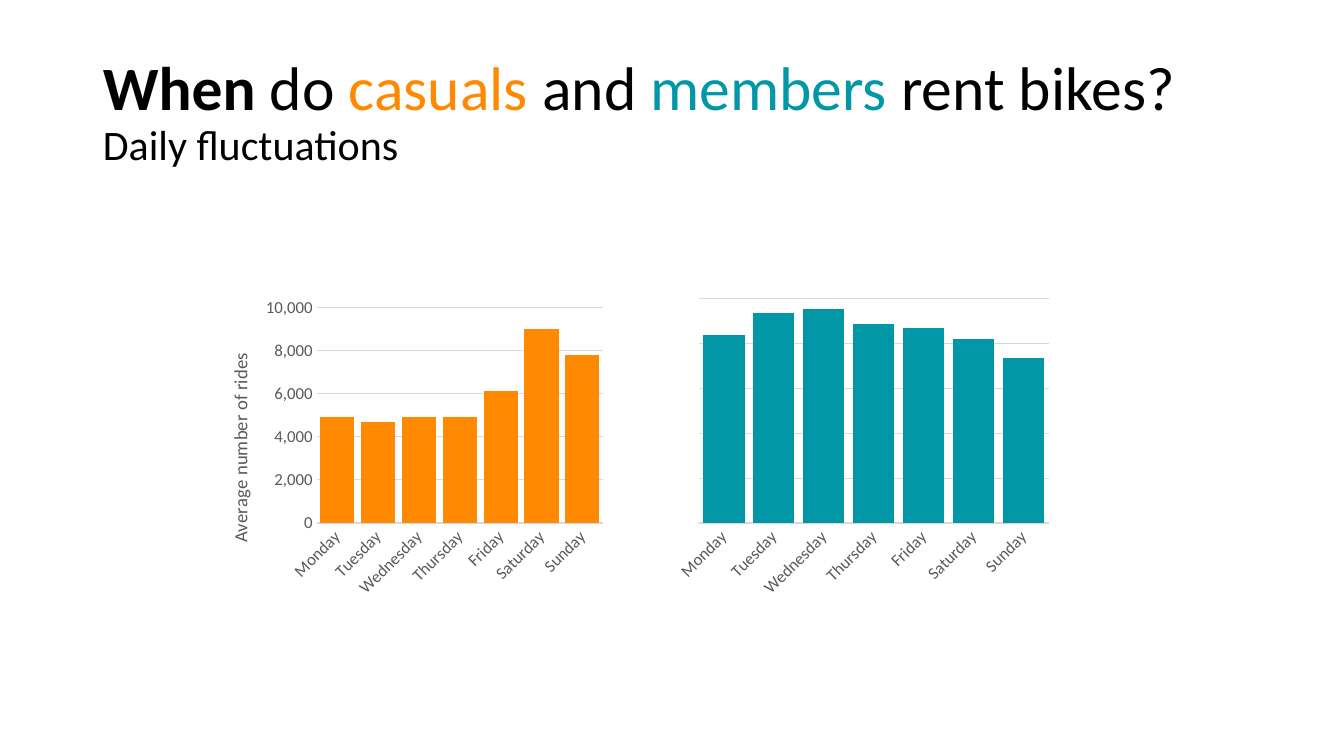
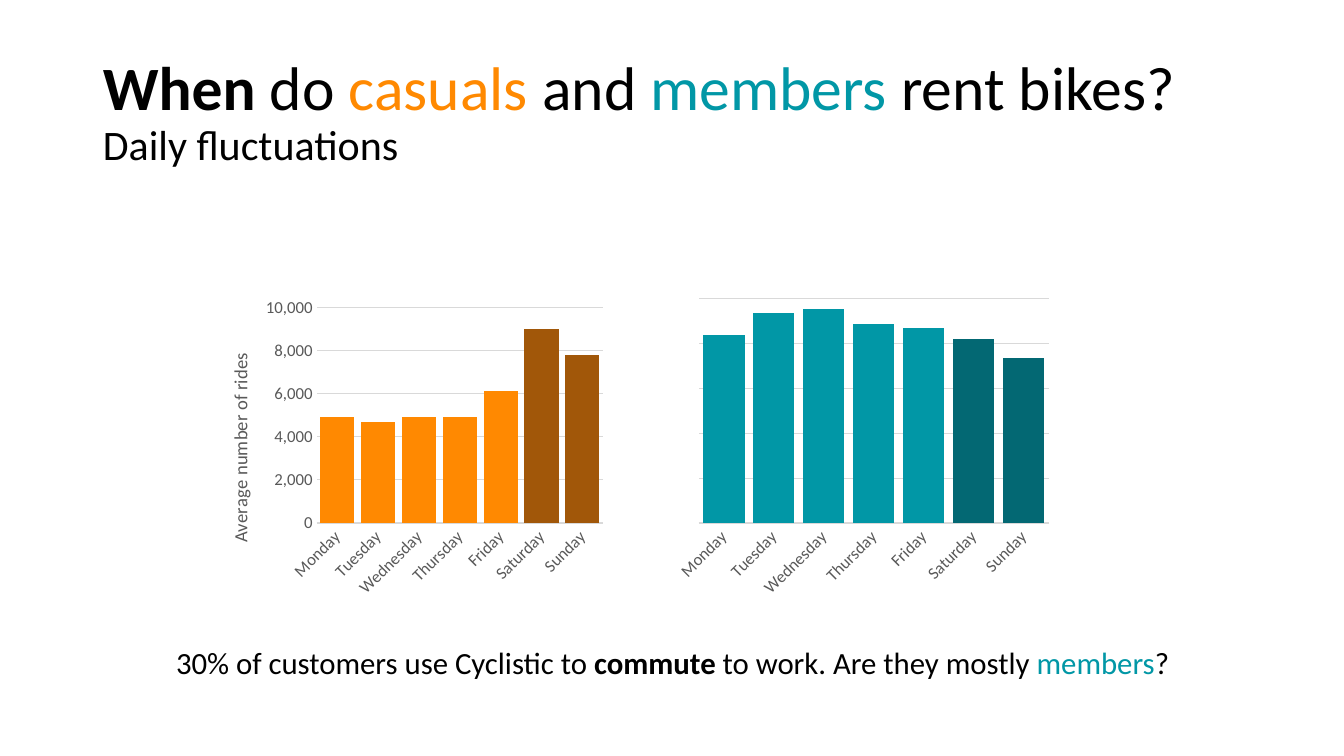
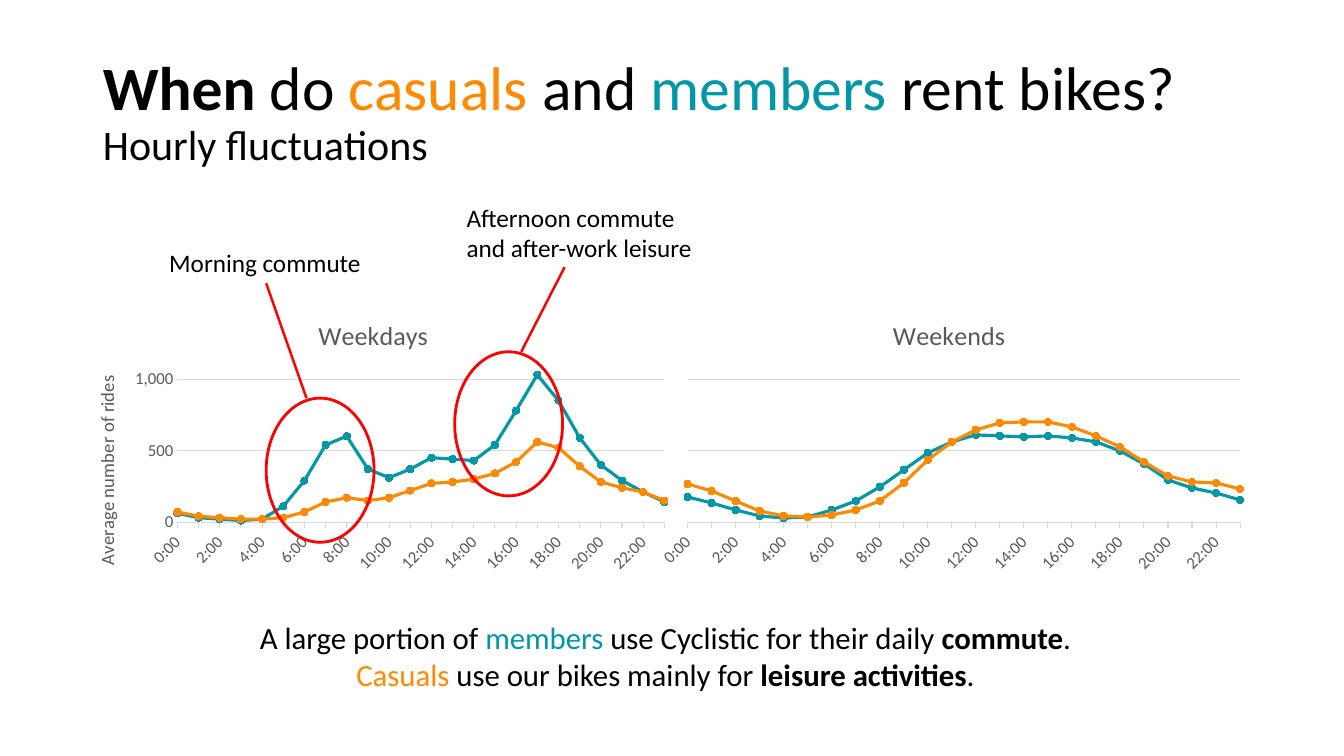
"""Build three slides on when casual riders and members rent bikes."""
from lxml import etree
from pptx import Presentation
from pptx.chart.data import CategoryChartData
from pptx.dml.color import RGBColor
from pptx.enum.chart import XL_CHART_TYPE, XL_MARKER_STYLE, XL_TICK_MARK
from pptx.enum.shapes import MSO_CONNECTOR, MSO_SHAPE
from pptx.enum.text import MSO_ANCHOR, MSO_AUTO_SIZE, PP_ALIGN
from pptx.oxml import parse_xml
from pptx.oxml.ns import nsdecls, qn
from pptx.util import Inches, Pt

FONT = "Calibri"
COLORS = {
    "text": "000000",
    "casual": "FF8901",
    "casual_dark": "A15709",
    "member": "0197A6",
    "member_dark": "036873",
    "axis": "595959",
    "grid": "D9D9D9",
    "mark": "FF0000",
}
RGB = {name: RGBColor.from_string(value) for name, value in COLORS.items()}

DAYS = ["Monday", "Tuesday", "Wednesday", "Thursday", "Friday", "Saturday", "Sunday"]
HOURS = [f"{hour}:00" for hour in range(24)]
AXIS_TITLE = "Average number of rides"


def add_runs(p, size, runs):
    p.font.name = FONT
    p.font.size = Pt(size)
    for text, color, bold in runs:
        r = p.add_run()
        r.text = text
        r.font.bold = bold
        r.font.color.rgb = RGB[color]


def add_graph(s, kind, box, cats, series, scale, plot_box, axis_title_at, title=None, title_at=None):
    data = CategoryChartData()
    data.categories = cats
    for number, (color, values) in enumerate(series, 1):
        data.add_series(f"Series {number}", values)
    chart = s.shapes.add_chart(kind, *[Inches(v) for v in box], data).chart
    chart.has_legend = False
    chart.font.name = FONT
    chart.font.size = Pt(12)
    chart.font.color.rgb = RGB["axis"]
    chart.has_title = title is not None
    plot = chart.plots[0]
    plot.vary_by_categories = False
    layouts = [(plot._element.getparent(), plot_box)]
    titles = []
    if title:
        titles.append((chart.chart_title, title, 18.6, title_at))

    cat_axis, val_axis = chart.category_axis, chart.value_axis
    cat_axis.format.line.color.rgb = RGB["grid"]
    cat_axis.format.line.width = Pt(0.75)
    cat_axis.tick_labels.font.size = Pt(12)
    cat_axis._element.txPr.find(qn("a:bodyPr")).set("rot", "-2700000")
    cat_axis.major_tick_mark = XL_TICK_MARK.NONE
    val_axis.major_tick_mark = XL_TICK_MARK.NONE
    val_axis.minimum_scale = 0
    val_axis.maximum_scale, val_axis.major_unit = scale
    grid = val_axis.major_gridlines.format.line
    grid.color.rgb = RGB["grid"]
    grid.width = Pt(0.75)
    val_axis.format.line.fill.background()
    val_axis.visible = axis_title_at is not None
    if axis_title_at:
        val_axis.tick_labels.number_format = "#,##0"
        val_axis.tick_labels.number_format_is_linked = False
        val_axis.has_title = True
        titles.append((val_axis.axis_title, AXIS_TITLE, 13.3, axis_title_at))

    for holder, text, size, place in titles:
        p = holder.text_frame.paragraphs[0]
        add_runs(p, size, [(text, "axis", False)])
        layouts.append((holder._element, place))

    left, top, width, height = box
    for element, place in layouts:
        for old in element.findall(qn("c:layout")):
            element.remove(old)
        layout = parse_xml(f"<c:layout {nsdecls('c')}><c:manualLayout/></c:layout>")
        inner = len(place) == 4
        entries = [("layoutTarget", "inner")] if inner else []
        entries += [("xMode", "edge"), ("yMode", "edge"),
                    ("x", (place[0] - left) / width), ("y", (place[1] - top) / height)]
        if inner:
            entries += [("w", place[2] / width), ("h", place[3] / height)]
        for tag, value in entries:
            etree.SubElement(layout[0], qn(f"c:{tag}")).set("val", str(value))
        element.insert(0 if inner else 1, layout)
    return chart


prs = Presentation()
prs.slide_width, prs.slide_height = Inches(13.33), Inches(7.5)

slides = []
for subtitle in ["Daily fluctuations", "Daily fluctuations", "Hourly fluctuations"]:
    s = prs.slides.add_slide(prs.slide_layouts[5])
    slides.append(s)
    sp = s.shapes.title
    sp.left, sp.top, sp.width, sp.height = [Inches(v) for v in (0.92, 0.4, 11.5, 1.45)]
    tf = sp.text_frame
    tf.auto_size = MSO_AUTO_SIZE.NONE
    tf.vertical_anchor = MSO_ANCHOR.MIDDLE
    p = tf.paragraphs[0]
    p.alignment = PP_ALIGN.LEFT
    p.line_spacing = 0.9
    add_runs(p, 44, [
        ("When", "text", True),
        (" do ", "text", False),
        ("casuals ", "casual", False),
        ("and ", "text", False),
        ("members ", "member", False),
        ("rent bikes?", "text", False),
    ])
    p.add_line_break()
    add_runs(p, 44, [(subtitle, "text", False)])
    p.runs[-1].font.size = Pt(30)

daily = [
    ("member", [88, 98, 100, 93, 91, 86, 77], (6.63, 2.88, 3.85, 3.12),
     (106, 21), (6.93, 2.94, 3.47, 2.25), None),
    ("casual", [4900, 4700, 4900, 4900, 6100, 9000, 7800], (2.04, 2.88, 4.03, 3.12),
     (10050, 2000), (3.14, 3.04, 2.84, 2.15), (2.22, 3.47)),
]
for s, suffix in zip(slides, ["", "_dark"]):
    for color, values, box, scale, plot_box, axis_title_at in daily:
        chart = add_graph(s, XL_CHART_TYPE.COLUMN_CLUSTERED, box, DAYS, [(color, values)],
                          scale, plot_box, axis_title_at)
        plot = chart.plots[0]
        plot.gap_width = 20
        plot.overlap = -27
        bars = plot.series[0]
        bars.format.fill.solid()
        bars.format.fill.fore_color.rgb = RGB[color]
        for weekend_day in (5, 6):
            fill = bars.points[weekend_day].format.fill
            fill.solid()
            fill.fore_color.rgb = RGB[color + suffix]

hourly = [
    ("Weekdays", (3.11, 3.1), 0.7, (1100, 500), (1.76, 3.62, 4.83, 1.56), (0.9, 3.69),
     [60, 30, 20, 10, 20, 110, 290, 540, 600, 370, 310, 370,
      450, 440, 430, 540, 780, 1030, 850, 590, 400, 290, 210, 140],
     [70, 40, 30, 20, 20, 30, 70, 140, 170, 150, 170, 220,
      270, 280, 300, 340, 420, 560, 520, 390, 280, 240, 210, 150]),
    ("Weekends", (8.81, 3.1), 6.42, (157, 71), (6.82, 3.62, 5.48, 1.56), None,
     [25, 19, 12, 6, 4, 5, 12, 21, 35, 52, 69, 80,
      87, 86, 85, 86, 84, 80, 71, 58, 42, 34, 29, 22],
     [38, 31, 21, 11, 6, 5, 7, 12, 21, 39, 62, 80,
      92, 99, 100, 100, 95, 86, 75, 60, 46, 40, 39, 33]),
]
s = slides[2]
for title, title_at, left, scale, plot_box, axis_title_at, members, casuals in hourly:
    series = [("member", members), ("casual", casuals)]
    chart = add_graph(s, XL_CHART_TYPE.LINE_MARKERS, (left, 2.98, 6, 2.77), HOURS, series,
                      scale, plot_box, axis_title_at, title, title_at)
    chart.category_axis.major_tick_mark = XL_TICK_MARK.OUTSIDE
    skip = parse_xml(f'<c:tickLblSkip {nsdecls("c")} val="2"/>')
    chart.category_axis._element.find(qn("c:noMultiLvlLbl")).addprevious(skip)
    val_element = chart.value_axis._element
    cross = val_element.find(qn("c:crossBetween"))
    if cross is None:
        cross = parse_xml(f'<c:crossBetween {nsdecls("c")}/>')
        val_element.find(qn("c:majorUnit")).addprevious(cross)
    cross.set("val", "midCat")
    for line, (color, values) in zip(chart.plots[0].series, series):
        line.smooth = False
        line.format.line.color.rgb = RGB[color]
        line.format.line.width = Pt(2.25)
        line.marker.style = XL_MARKER_STYLE.CIRCLE
        line.marker.size = 5
        line.marker.format.fill.solid()
        line.marker.format.fill.fore_color.rgb = RGB[color]
        line.marker.format.line.color.rgb = RGB[color]

for left, top in [(2.64, 3.95), (4.51, 3.49)]:
    sp = s.shapes.add_shape(MSO_SHAPE.OVAL, Inches(left), Inches(top), Inches(1.07), Inches(1.43))
    sp.shadow.inherit = False
    sp.fill.background()
    sp.line.color.rgb = RGB["mark"]
    sp.line.width = Pt(2)

for ends in [(3.04, 3.95, 2.64, 2.81), (5.17, 3.49, 5.6, 2.65)]:
    sp = s.shapes.add_connector(MSO_CONNECTOR.STRAIGHT, *[Inches(v) for v in ends])
    sp.line.color.rgb = RGB["mark"]
    sp.line.width = Pt(1.75)
    etree.SubElement(sp._element.spPr, qn("a:effectLst"))

notes = [
    (slides[1], (1.58, 6.34, 10.18, 0.47), 22, PP_ALIGN.CENTER, False, [[
        ("30% of customers use Cyclistic to ", "text", False),
        ("commute", "text", True),
        (" to work. Are they mostly ", "text", False),
        ("members", "member", False),
        ("?", "text", False),
    ]]),
    (s, (2.43, 6.09, 8.34, 0.84), 22, PP_ALIGN.CENTER, False, [[
        ("A large portion of ", "text", False),
        ("members", "member", False),
        (" use Cyclistic for their daily ", "text", False),
        ("commute", "text", True),
        (".", "text", False),
    ], [
        ("Casuals", "casual", False),
        (" use our bikes mainly for ", "text", False),
        ("leisure activities", "text", True),
        (".", "text", False),
    ]]),
    (s, (1.58, 2.4, 2.12, 0.4), 18, PP_ALIGN.LEFT, False,
     [[("Morning commute", "text", False)]]),
    (s, (4.53, 1.96, 2.67, 0.71), 18, PP_ALIGN.LEFT, True,
     [[("Afternoon commute and after-work leisure", "text", False)]]),
]
for s, box, size, align, wrap, lines in notes:
    tf = s.shapes.add_textbox(*[Inches(v) for v in box]).text_frame
    tf.word_wrap = wrap
    tf.auto_size = MSO_AUTO_SIZE.SHAPE_TO_FIT_TEXT
    for i, runs in enumerate(lines):
        p = tf.add_paragraph() if i else tf.paragraphs[0]
        p.alignment = align
        add_runs(p, size, runs)

prs.save("out.pptx")
